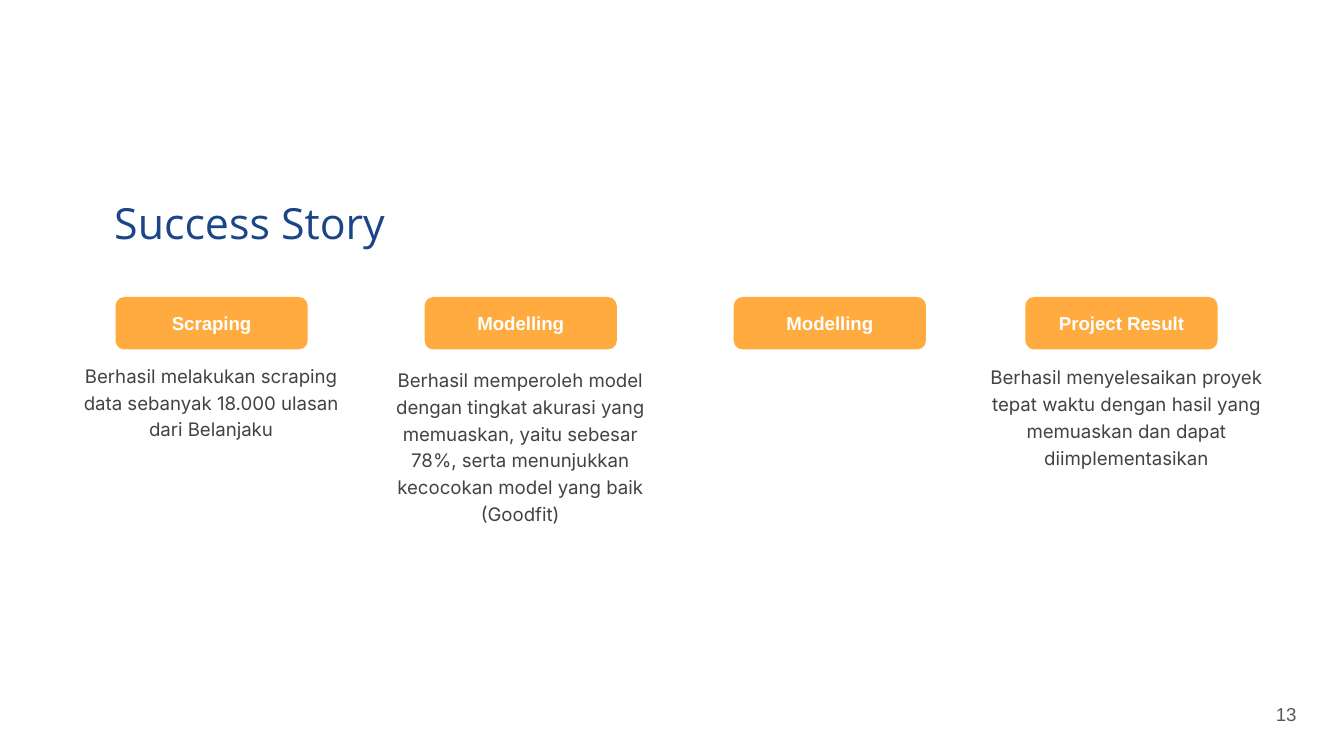
import pptx
import pptx.util
import pptx.dml.color
import pptx.enum.shapes
import pptx.enum.text

Inches = pptx.util.Inches
ALIGN = pptx.enum.text.PP_ALIGN
ANCHOR = pptx.enum.text.MSO_ANCHOR

WIDE = 10
HIGH = WIDE * 9 / 16
COLORS = {
    "title": "1C4587",
    "pill": "FFAB40",
    "label": "FFFFFF",
    "note": "434343",
    "page": "595959",
}
PILL = (1.43, 0.39)
ROW = 2.21
STEPS = [
    (0.86, "Scraping", (-0.38, 0.37, 2.18, 1.54),
     "Berhasil melakukan scraping data sebanyak 18.000 ulasan dari Belanjaku"),
    (3.16, "Modelling", (-0.35, 0.4, 2.12, 0.84),
     "Berhasil memperoleh model dengan tingkat akurasi yang memuaskan, "
     "yaitu sebesar 78%, serta menunjukkan kecocokan model yang baik (Goodfit)"),
    (5.46, "Modelling", None, None),
    (7.63, "Project Result", (-0.38, 0.38, 2.26, 1.54),
     "Berhasil menyelesaikan proyek tepat waktu dengan hasil yang memuaskan "
     "dan dapat diimplementasikan"),
]


def paint(name):
    return pptx.dml.color.RGBColor.from_string(COLORS[name])


def write(shape, text, font, size, color, align=ALIGN.CENTER,
          anchor=ANCHOR.TOP, bold=False, space=1.0, inset=0.1):
    frame = shape.text_frame
    frame.word_wrap = True
    frame.auto_size = pptx.enum.text.MSO_AUTO_SIZE.NONE
    frame.vertical_anchor = anchor
    frame.margin_left = frame.margin_right = Inches(inset)
    frame.margin_top = frame.margin_bottom = Inches(inset)
    para = frame.paragraphs[0]
    para.alignment = align
    para.line_spacing = space
    para.space_before = pptx.util.Pt(0)
    run = para.add_run()
    run.text = text
    run.font.name = font
    run.font.size = pptx.util.Pt(size)
    run.font.bold = bold
    run.font.color.rgb = paint(color)


def add_title(slide, box):
    title = slide.shapes.title
    title.left, title.top, title.width, title.height = map(Inches, box)
    write(title, "Success Story", "Open Sans", 23, "title", ALIGN.LEFT)


def add_step(slide, box, label, area, note):
    left, top, width, height = box
    pill = slide.shapes.add_shape(
        pptx.enum.shapes.MSO_SHAPE.ROUNDED_RECTANGLE, *map(Inches, box))
    pill.shadow.inherit = False
    pill.fill.solid()
    pill.fill.fore_color.rgb = paint("pill")
    pill.line.fill.background()
    write(pill, label, "Arial", 10, "label", anchor=ANCHOR.MIDDLE,
          bold=True, inset=0.05)
    if note:
        right, down, wide, high = area
        body = slide.shapes.add_textbox(
            *map(Inches, (left + right, top + down, wide, high)))
        write(body, note, "Inter", 10, "note", space=1.2)


def add_page(slide, box):
    page = slide.shapes.add_textbox(*map(Inches, box))
    write(page, "13", "Arial", 10, "page", anchor=ANCHOR.MIDDLE)


def main():
    deck = pptx.Presentation()
    deck.slide_width, deck.slide_height = Inches(WIDE), Inches(HIGH)
    slide = deck.slides.add_slide(deck.slide_layouts[5])
    add_title(slide, (0.075 * WIDE, 1.36, 0.37 * WIDE, 0.53))
    for left, label, area, note in STEPS:
        add_step(slide, (left, ROW, *PILL), label, area, note)
    add_page(slide, (WIDE - 0.73, 5.1, 0.6, 0.43))
    deck.save("out.pptx")


if __name__ == "__main__":
    main()
